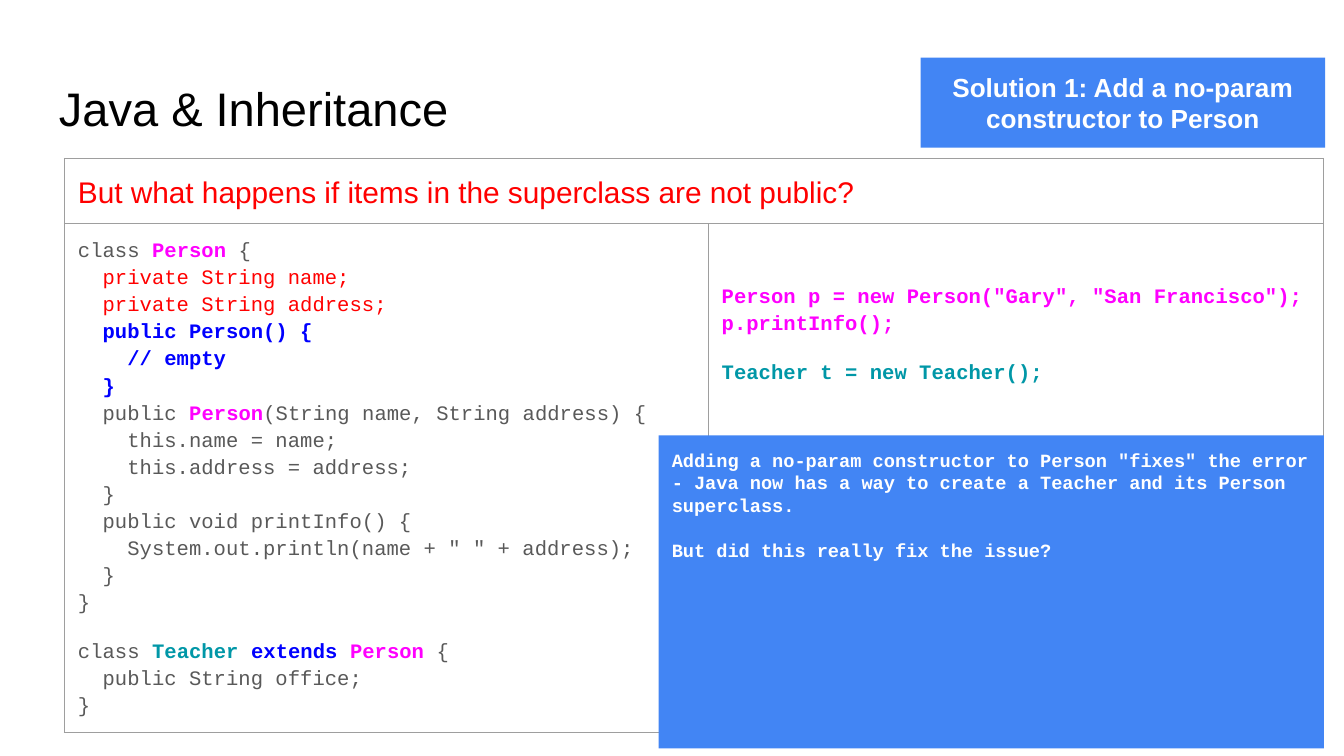
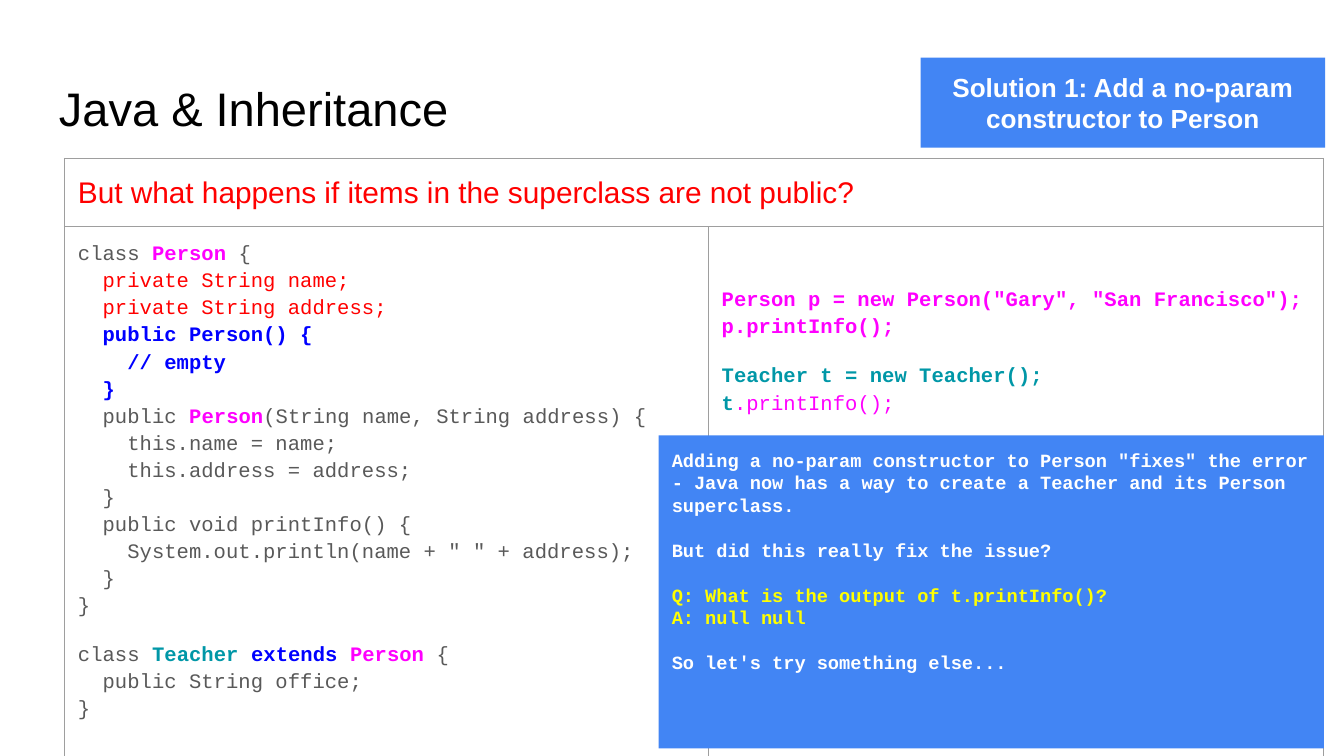
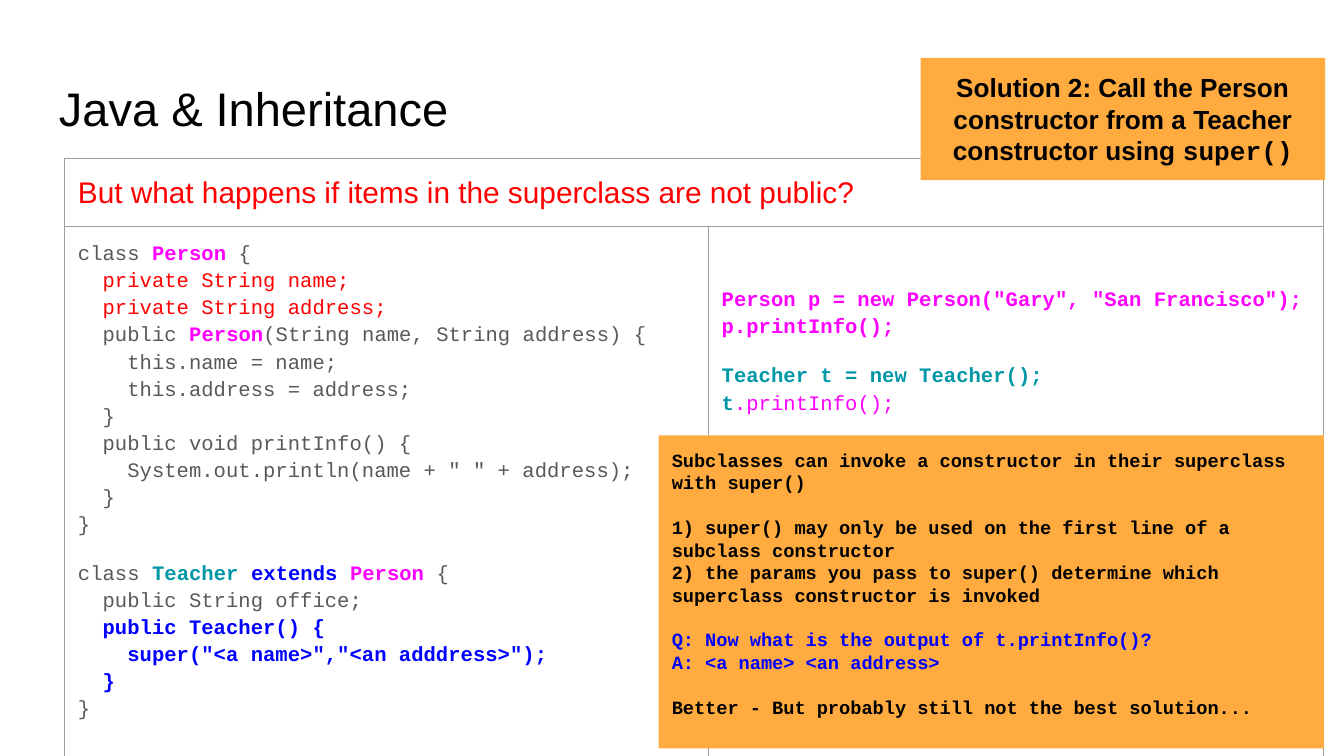
from copy import deepcopy
from dataclasses import dataclass
from typing import NamedTuple

from lxml import etree
from pptx import Presentation
from pptx.dml.color import RGBColor
from pptx.enum.shapes import MSO_SHAPE as Shape
from pptx.enum.text import MSO_ANCHOR as Anchor, PP_ALIGN as Align
from pptx.oxml.ns import qn
from pptx.util import Inches, Pt


@dataclass(frozen=True)
class Theme:
    sans: str = "Arial"
    mono: str = "Courier New"
    title_size: float = 25.2
    question_size: float = 16
    banner_size: float = 14
    code_size: float = 11
    note_size: float = 10
    block_gap: float = 12
    code_spacing: float = 1.15
    border_width: float = 0.75
    border: str = "9E9E9E"
    black: str = "000000"
    white: str = "FFFFFF"
    gray: str = "595959"
    red: str = "FF0000"
    blue: str = "0000FF"
    pink: str = "FF00FF"
    teal: str = "0097A7"
    yellow: str = "FFFF00"
    sky: str = "4285F4"
    orange: str = "FFAB40"


THEME = Theme()


class Span(NamedTuple):
    text: str
    color: str
    bold: bool = False
    font: str = THEME.mono


class Block(NamedTuple):
    spans: list[Span]
    gap: float = 0


class Frame(NamedTuple):
    left: float
    top: float
    width: float
    height: float

    def lengths(self) -> list[int]:
        return [Inches(value) for value in self]


class Lesson(NamedTuple):
    accent: str
    banner: list[Span]
    banner_height: float
    classes: list[Block]
    usage: list[Block]
    note: list[Block]


TITLE = Frame(0.34, 0.49, 9.32, 0.63)
NOTE = Frame(4.9, 3.24, 4.95, 2.33)
TABLE_LEFT, TABLE_TOP = 0.48, 1.18
COLUMNS = (4.79, 4.58)
ROWS = (0.29, 3.18)
INSET = 0.1
USAGE_INSET = 0.44


def plain(text: str) -> Span:
    return Span(text, THEME.gray)


def strong(text: str, color: str) -> Span:
    return Span(text, color, True)


def person_class(extra: list[Span]) -> Block:
    return Block([
        plain("class "),
        strong("Person", THEME.pink),
        plain(" {\n"),
        Span("  private String name;\n  private String address;\n", THEME.red),
        *extra,
        plain("  public "),
        strong("Person", THEME.pink),
        plain(
            "(String name, String address) {\n"
            "    this.name = name;\n"
            "    this.address = address;\n"
            "  }\n"
            "  public void printInfo() {\n"
            '    System.out.println(name + " " + address);\n'
            "  }\n"
            "}"
        ),
    ])


def teacher_class(extra: list[Span]) -> Block:
    return Block([
        plain("class "),
        strong("Teacher ", THEME.teal),
        strong("extends ", THEME.blue),
        strong("Person", THEME.pink),
        plain(" {\n  public String office;\n"),
        *extra,
        plain("}"),
    ], THEME.block_gap)


def usage_code(teacher: list[Span]) -> list[Block]:
    person = 'Person p = new Person("Gary", "San Francisco");\np.printInfo();'
    return [Block([strong(person, THEME.pink)]), Block(teacher, THEME.block_gap)]


def note_block(text: str, color: str, gap: float = THEME.block_gap) -> Block:
    return Block([strong(text, color)], gap)


EMPTY_CONSTRUCTOR = strong("  public Person() {\n    // empty\n  }\n", THEME.blue)
SUPER_CONSTRUCTOR = strong(
    '  public Teacher() {\n    super("<a name>","<an adddress>");\n  }\n', THEME.blue
)
FIXED_CLASSES = [person_class([EMPTY_CONSTRUCTOR]), teacher_class([])]
SUPER_CLASSES = [person_class([]), teacher_class([SUPER_CONSTRUCTOR])]

CREATE_ONLY = usage_code([strong("Teacher t = new Teacher();", THEME.teal)])
CREATE_AND_PRINT = usage_code([
    strong("Teacher t = new Teacher();\nt", THEME.teal),
    Span(".printInfo();", THEME.pink),
])

BANNER_ONE = [
    Span("Solution 1: Add a no-param constructor to Person", THEME.white, True, THEME.sans)
]
BANNER_TWO = [
    Span(
        "Solution 2: Call the Person constructor from a Teacher constructor using ",
        THEME.black, True, THEME.sans,
    ),
    strong("super()", THEME.black),
]

FIX_NOTE = [
    note_block(
        'Adding a no-param constructor to Person "fixes" the error - Java now has '
        "a way to create a Teacher and its Person superclass.",
        THEME.white, 0,
    ),
    note_block("But did this really fix the issue?", THEME.white),
]
ANSWER_NOTE = [
    note_block("Q: What is the output of t.printInfo()?\nA: null null", THEME.yellow),
    note_block("So let's try something else...", THEME.white),
]
SUPER_NOTE = [
    note_block(
        "Subclasses can invoke a constructor in their superclass with super()",
        THEME.black, 0,
    ),
    note_block(
        "1) super() may only be used on the first line of a subclass constructor",
        THEME.black,
    ),
    note_block(
        "2) the params you pass to super() determine which superclass constructor is invoked",
        THEME.black, 0,
    ),
    note_block(
        "Q: Now what is the output of t.printInfo()?\nA: <a name> <an address>", THEME.blue
    ),
    note_block("Better - But probably still not the best solution...", THEME.black),
]

LESSONS = [
    Lesson(THEME.sky, BANNER_ONE, 0.67, FIXED_CLASSES, CREATE_ONLY, FIX_NOTE),
    Lesson(THEME.sky, BANNER_ONE, 0.67, FIXED_CLASSES, CREATE_AND_PRINT,
           FIX_NOTE + ANSWER_NOTE),
    Lesson(THEME.orange, BANNER_TWO, 0.91, SUPER_CLASSES, CREATE_AND_PRINT, SUPER_NOTE),
]


def add_span(para, span: Span, size: float) -> None:
    for number, line in enumerate(span.text.split("\n")):
        if number:
            previous = para.runs[-1]._r
            para.add_line_break()
            para._p[-1].append(deepcopy(previous.rPr))
        if line:
            run = para.add_run()
            run.text = line
            run.font.name = span.font
            run.font.size = Pt(size)
            run.font.bold = span.bold
            run.font.color.rgb = RGBColor.from_string(span.color)


def write_blocks(frame, blocks: list[Block], size: float, spacing: float = 1.0,
                 align: Align = Align.LEFT) -> None:
    for number, block in enumerate(blocks):
        para = frame.add_paragraph() if number else frame.paragraphs[0]
        para.alignment = align
        para.line_spacing = spacing
        para.space_before = Pt(block.gap)
        for span in block.spans:
            add_span(para, span, size)


def set_insets(holder, top: float = INSET) -> None:
    holder.margin_left = holder.margin_right = holder.margin_bottom = Inches(INSET)
    holder.margin_top = Inches(top)


def prepare_frame(box, anchor: Anchor):
    frame = box.text_frame
    frame.word_wrap = True
    frame.vertical_anchor = anchor
    set_insets(frame)
    return frame


def add_title(page) -> None:
    box = page.shapes.add_textbox(*TITLE.lengths())
    title = Span("Java & Inheritance", THEME.black, False, THEME.sans)
    write_blocks(prepare_frame(box, Anchor.MIDDLE), [Block([title])], THEME.title_size)


def add_panel(page, place: Frame, fill: str, anchor: Anchor):
    panel = page.shapes.add_shape(Shape.RECTANGLE, *place.lengths())
    panel.shadow.inherit = False
    panel.fill.solid()
    panel.fill.fore_color.rgb = RGBColor.from_string(fill)
    panel.line.fill.background()
    return prepare_frame(panel, anchor)


def style_cell(cell) -> None:
    properties = cell._tc.get_or_add_tcPr()
    for side in ("a:lnL", "a:lnR", "a:lnT", "a:lnB"):
        line = etree.SubElement(properties, qn(side), w=str(Pt(THEME.border_width)))
        fill = etree.SubElement(line, qn("a:solidFill"))
        etree.SubElement(fill, qn("a:srgbClr"), val=THEME.border)
    cell.fill.background()
    set_insets(cell)


def add_code_table(page, lesson: Lesson) -> None:
    place = Frame(TABLE_LEFT, TABLE_TOP, sum(COLUMNS), sum(ROWS))
    table = page.shapes.add_table(len(ROWS), len(COLUMNS), *place.lengths()).table
    table.first_row = table.horz_banding = False
    for column, width in zip(table.columns, COLUMNS):
        column.width = Inches(width)
    for row, height in zip(table.rows, ROWS):
        row.height = Inches(height)
    for cell in table.iter_cells():
        style_cell(cell)

    header, covered = table.cell(0, 0), table.cell(0, 1)
    classes, usage = table.cell(1, 0), table.cell(1, 1)
    header.merge(covered)
    etree.SubElement(covered.text_frame.paragraphs[0]._p, qn("a:endParaRPr"),
                     sz=str(round(THEME.code_size * 100)))
    set_insets(usage, USAGE_INSET)
    question = Span("But what happens if items in the superclass are not public?",
                    THEME.red, False, THEME.sans)
    for cell, blocks, size in (
        (header, [Block([question])], THEME.question_size),
        (classes, lesson.classes, THEME.code_size),
        (usage, lesson.usage, THEME.code_size),
    ):
        write_blocks(cell.text_frame, blocks, size, THEME.code_spacing)


def add_lesson(deck, lesson: Lesson) -> None:
    page = deck.slides.add_slide(deck.slide_layouts[6])
    add_code_table(page, lesson)
    add_title(page)
    banner_place = Frame(6.85, 0.43, 3.01, lesson.banner_height)
    banner = add_panel(page, banner_place, lesson.accent, Anchor.MIDDLE)
    write_blocks(banner, [Block(lesson.banner)], THEME.banner_size, align=Align.CENTER)
    note = add_panel(page, NOTE, lesson.accent, Anchor.TOP)
    write_blocks(note, lesson.note, THEME.note_size)


def main() -> None:
    deck = Presentation()
    deck.slide_width = Inches(10)
    deck.slide_height = deck.slide_width * 9 // 16
    for lesson in LESSONS:
        add_lesson(deck, lesson)
    deck.save("out.pptx")


if __name__ == "__main__":
    main()
